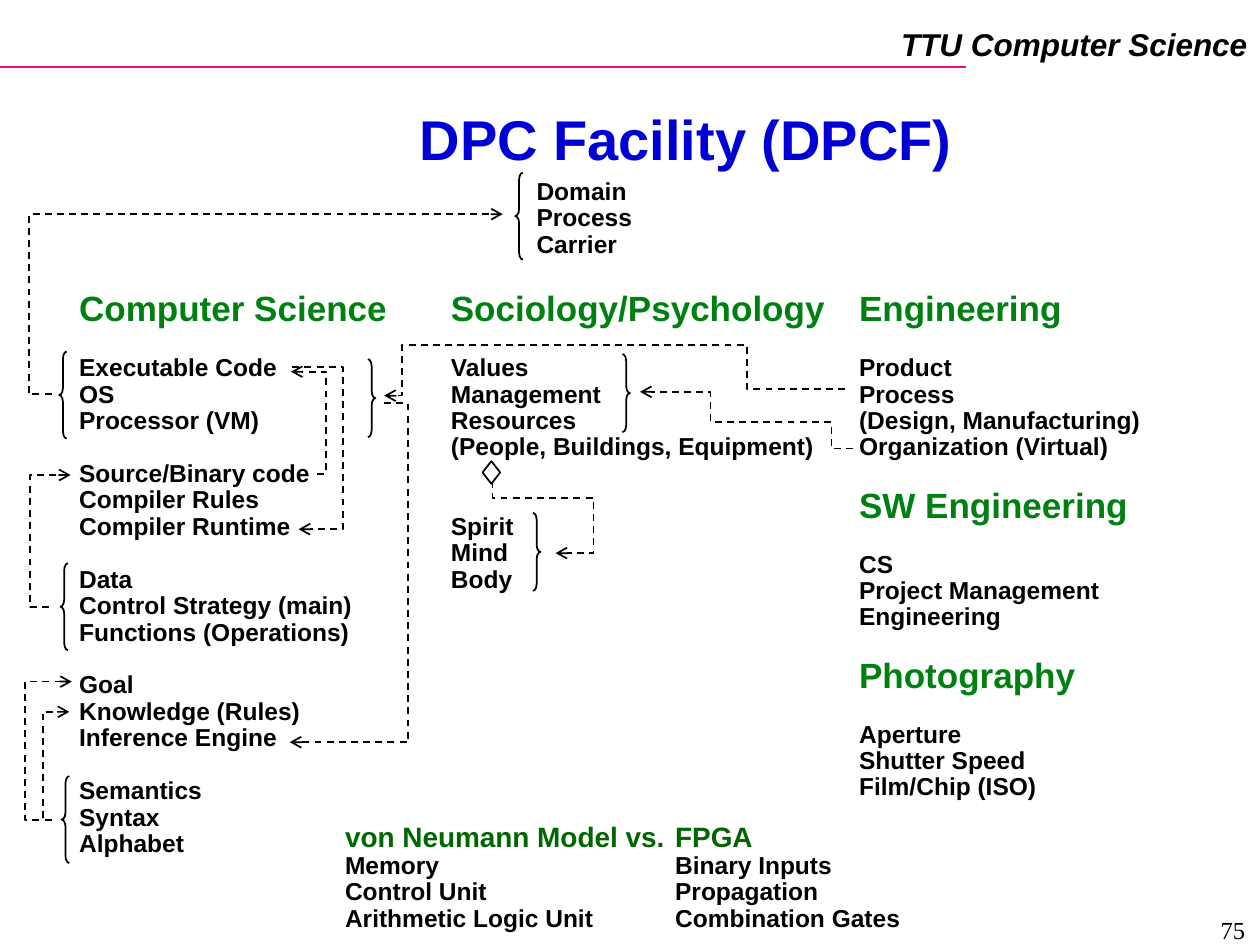
from pptx import Presentation
from pptx.dml.color import RGBColor
from pptx.enum.dml import MSO_LINE
from pptx.enum.shapes import MSO_CONNECTOR, MSO_SHAPE
from pptx.enum.text import MSO_ANCHOR, PP_ALIGN
from pptx.oxml.ns import qn
from pptx.util import Inches, Pt
from lxml.etree import SubElement

COLS, ROWS = 100, 75
CELL = Inches(10) // COLS
LEAD = 1.08
BODY = 14
ROW = BODY * LEAD
INK, GREEN, MOSS = "000000", "008011", "006600"


def color(code):
    return RGBColor.from_string(code)


def cells(*nums):
    return [round(num * CELL) for num in nums]


def shift(box, x, y):
    return box[0] + x, box[1] + y


def label(slide, box, groups, align=PP_ALIGN.LEFT, font="Arial", bold=True,
          slant=False, anchor=MSO_ANCHOR.TOP, wrap=True):
    frame = slide.shapes.add_textbox(*cells(*box)).text_frame
    frame.word_wrap = wrap
    frame.vertical_anchor = anchor
    first = True
    for lines, size, code, gap in groups:
        for num, line in enumerate(lines):
            para = frame.paragraphs[0] if first else frame.add_paragraph()
            first = False
            para.text = line
            para.alignment = align
            para.line_spacing = Pt(round(size * LEAD, 2))
            para.space_before = Pt(0 if num else round(gap * ROW, 2))
            para.font.name = font
            para.font.size = Pt(size)
            para.font.bold = bold
            para.font.italic = slant
            para.font.color.rgb = color(code)


def head(text, gap=0, size=20, code=GREEN):
    return [text], size, code, gap


def body(*lines, gap=1):
    return lines, BODY, INK, gap


def stroke(shape, code=INK):
    shape.line.color.rgb = color(code)
    shape.line.width = Pt(1)


def brace(slide, box, x, y, tall, kind=MSO_SHAPE.LEFT_BRACE):
    shape = slide.shapes.add_shape(kind, *cells(*shift(box, x, y), 0.6, tall))
    shape.adjustments[0] = 0.95
    shape.shadow.inherit = False
    shape.fill.background()
    stroke(shape)


def close(slide, box, x, y):
    brace(slide, box, x, y, 6.2, MSO_SHAPE.RIGHT_BRACE)


def wire(slide, box, *points):
    spots = [cells(*shift(box, *point)) for point in points]
    build = slide.shapes.build_freeform(*spots[0])
    build.add_line_segments(spots[1:], close=False)
    shape = build.convert_to_shape()
    shape.shadow.inherit = False
    shape.fill.background()
    stroke(shape)
    shape.line.dash_style = MSO_LINE.DASH
    line = shape.element.spPr.find(qn("a:ln"))
    SubElement(line, qn("a:tailEnd"), type="arrow")


def banner(slide, box):
    x, y, wide, tall = box
    rule = slide.shapes.add_connector(
        MSO_CONNECTOR.STRAIGHT, *cells(x, y + 5.3, x + 76.7, y + 5.3))
    stroke(rule, "F20884")
    SubElement(rule.element.spPr, qn("a:effectLst"))
    label(slide, (x + 70.5, y + 1.8, wide - 70.5, 4),
          [head("TTU Computer Science", size=18, code=INK)],
          PP_ALIGN.RIGHT, slant=True, wrap=False)
    label(slide, (x + 13.8, y + 7.1, 81.3, 8.2),
          [head("DPC Facility (DPCF)", size=32, code="0000D4")],
          PP_ALIGN.CENTER, anchor=MSO_ANCHOR.MIDDLE)


def domain(slide, box):
    label(slide, box, [body("Domain", "Process", "Carrier", gap=0)])
    brace(slide, box, -0.7, 0, 6.9)
    wire(slide, box, (-37.5, 17.6), (-39.3, 17.6), (-39.3, 3.3), (-1.7, 3.3))


def science(slide, box):
    label(slide, box, [
        head("Computer Science"),
        body("Executable Code", "OS", "Processor (VM)"),
        body("Source/Binary code", "Compiler Rules", "Compiler Runtime"),
        body("Data", "Control Strategy (main)", "Functions (Operations)"),
        body("Goal", "Knowledge (Rules)", "Inference Engine"),
        body("Semantics", "Syntax", "Alphabet")])
    for x, y in (-0.6, 5.3), (-0.5, 22.1), (-0.4, 39):
        brace(slide, box, x, y, 6.9)
    close(slide, box, 23.9, 5.9)
    for points in (
            [(-1.4, 25.6), (-2.9, 25.6), (-2.9, 15.1), (0.3, 15.1)],
            [(-1.2, 42.5), (-3.3, 42.5), (-3.3, 31.5), (0.4, 31.5)],
            [(-1.9, 42.3), (-1.9, 33.9), (0.2, 33.9)],
            [(25.2, 9.4), (27.1, 9.4), (27.1, 36.3), (17.7, 36.3)],
            [(17.9, 6.5), (21.9, 6.5), (21.9, 19.4), (18.4, 19.4)],
            [(19.9, 15), (20.6, 15), (20.6, 6.9), (17.8, 6.9)]):
        wire(slide, box, *points)


def social(slide, box):
    label(slide, box, [
        head("Sociology/Psychology"),
        body("Values", "Management", "Resources",
             "(People, Buildings, Equipment)"),
        body("Spirit", "Mind", "Body", gap=2)])
    close(slide, box, 14.6, 5.5)
    close(slide, box, 7.5, 18.1)
    gem = slide.shapes.add_shape(
        MSO_SHAPE.DIAMOND, *cells(*shift(box, 3.5, 14), 1.4, 1.8))
    gem.shadow.inherit = False
    gem.fill.solid()
    gem.fill.fore_color.rgb = color("FFFFFF")
    stroke(gem)
    wire(slide, box, (4.3, 15.6), (4.3, 16.9), (12.3, 16.9),
         (12.3, 21.3), (9.3, 21.3))


def craft(slide, box):
    label(slide, box, [
        head("Engineering"),
        body("Product", "Process", "(Design, Manufacturing)",
             "Organization (Virtual)"),
        head("SW Engineering", 1),
        body("CS", "Project Management", "Engineering"),
        head("Photography", 1),
        body("Aperture", "Shutter Speed", "Film/Chip (ISO)")])
    wire(slide, box, (-0.1, 8.3), (-7.9, 8.3), (-7.9, 4.8),
         (-35.3, 4.8), (-35.3, 8.8), (-36.7, 8.8))
    wire(slide, box, (0.5, 13), (-1.2, 13), (-1.2, 10.9),
         (-10.8, 10.9), (-10.8, 8.5), (-16.4, 8.5))


def models(slide, box):
    x, y, wide, tall = box
    label(slide, (x, y, 28.7, tall), [
        head("von Neumann Model vs.", size=16, code=MOSS),
        body("Memory", "Control Unit", "Arithmetic Logic Unit", gap=0)])
    label(slide, (x + 26.2, y, wide - 26.2, tall), [
        head("FPGA", size=16, code=MOSS),
        body("Binary Inputs", "Propagation Combination Gates", gap=0)])


def footer(slide, box):
    label(slide, box, [body("75", gap=0)], PP_ALIGN.RIGHT,
          "Times New Roman", False)


def main():
    deck = Presentation()
    deck.slide_width, deck.slide_height = cells(COLS, ROWS)
    slide = deck.slides.add_slide(deck.slide_layouts[6])
    banner(slide, (0, 0, COLS, 15.3))
    science(slide, (5.3, 22.6, 31.6, 46))
    social(slide, (34.8, 22.6, 45.5, 25))
    craft(slide, (67.2, 22.6, 32.7, 43.6))
    domain(slide, (41.6, 13.7, 13.8, 7.3))
    models(slide, (26.4, 64.8, 47.7, 9.7))
    footer(slide, (76.5, 72.4, 23.3, 2.2))
    deck.save("out.pptx")


if __name__ == "__main__":
    main()
